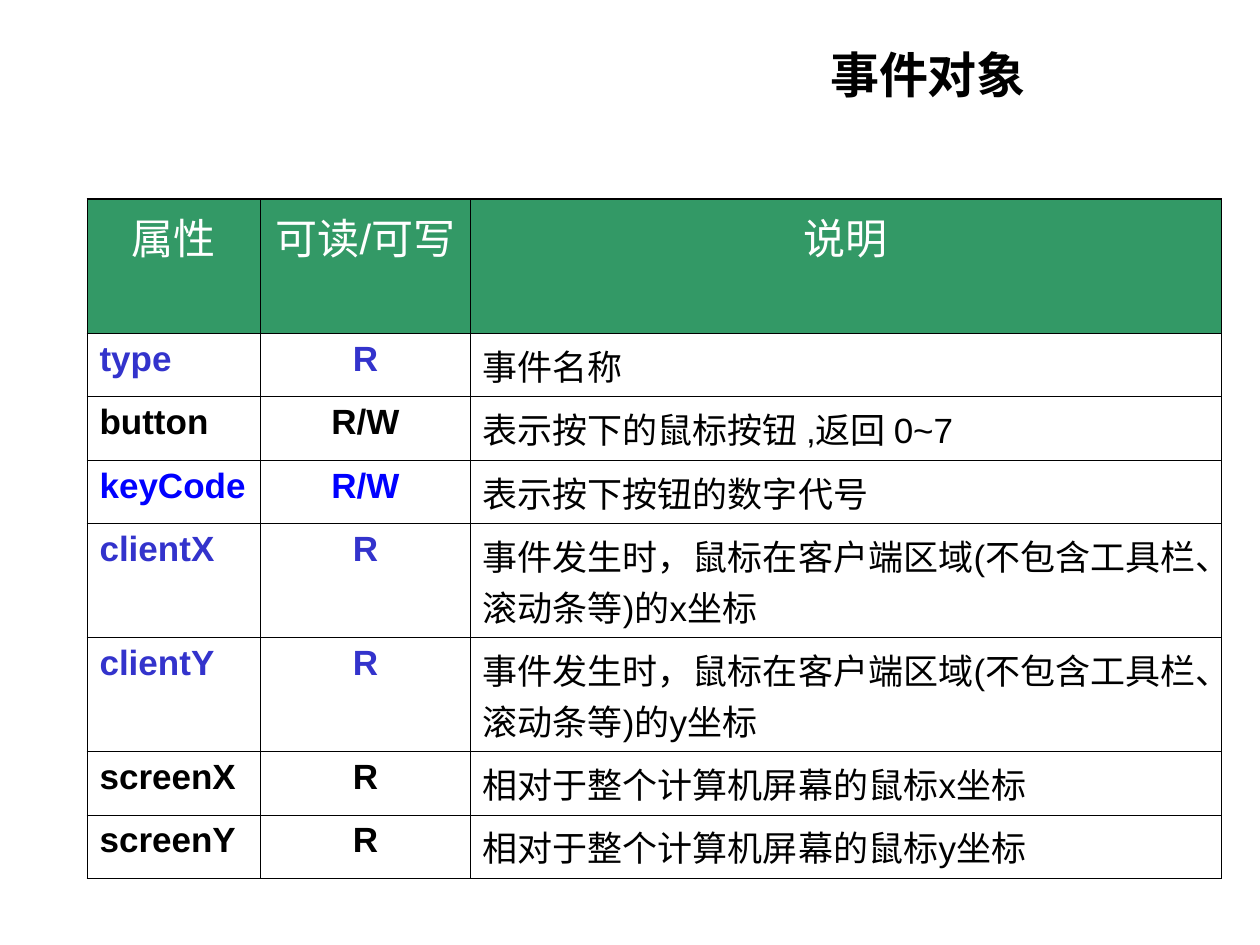
from dataclasses import dataclass
from lxml.etree import SubElement
from pptx import Presentation
from pptx.dml.color import RGBColor as Rgb
from pptx.enum.text import MSO_ANCHOR as Anchor, PP_ALIGN as Align
from pptx.oxml.ns import qn
from pptx.util import Inches, Pt

WIDE, HIGH = 10, 7.5
HUES = {"ink": "000000", "head": "339966", "pale": "FFFFFF",
        "key": "3333CC", "blue": "0000FF"}
LATIN, HAN = "Arial", "Noto Sans CJK SC"
THIN, BOLD = 0.45, 1.08  # border widths in points

COLS = (1.38, 1.66, 5.96)
HEADS = ("属性", "可读/可写", "说明")
HEAD_SIZE, BODY_SIZE = 24, 20
LEAD, PAD = 1.44, 7.5  # line pitch per point of text, row padding in points


@dataclass
class Prop:
    name: str
    mode: str
    note: str
    hue: str = "ink"
    lines: int = 1


def client(axis: str) -> Prop:
    note = f"事件发生时，鼠标在客户端区域(不包含工具栏、滚动条等)的{axis}坐标"
    return Prop(f"client{axis.upper()}", "R", note, "key", 2)


def screen(axis: str) -> Prop:
    return Prop(f"screen{axis.upper()}", "R", f"相对于整个计算机屏幕的鼠标{axis}坐标")


PROPS = (
    Prop("type", "R", "事件名称", "key"),
    Prop("button", "R/W", "表示按下的鼠标按钮 ,返回 0~7"),
    Prop("keyCode", "R/W", "表示按下按钮的数字代号", "blue"),
    *map(client, "xy"),
    *map(screen, "xy"),
)


def tall(lines: int, size: float) -> Pt:
    return Pt(lines * size * LEAD + PAD)


def write(frame, text: str, size: float, hue: str, bold: bool,
          align: Align, face: str = LATIN) -> None:
    para = frame.paragraphs[0]
    para.alignment = align
    run = para.add_run()
    run.text = text
    for key, val in {"size": Pt(size), "bold": bold, "name": face}.items():
        setattr(run.font, key, val)
    run.font.color.rgb = Rgb.from_string(HUES[hue])
    SubElement(run.font._element, qn("a:ea"), typeface=HAN)


def edge(cell, row: int) -> None:
    props = cell._tc.get_or_add_tcPr()
    for side in "LRTB":
        wide = BOLD if side == "T" and row == 0 else THIN
        line = SubElement(props, qn(f"a:ln{side}"), w=str(int(Pt(wide))))
        fill = SubElement(line, qn("a:solidFill"))
        SubElement(fill, qn("a:srgbClr"), val=HUES["ink"])


def draw_head(table) -> None:
    table.rows[0].height = tall(2, HEAD_SIZE)
    for col, text in enumerate(HEADS):
        cell = table.cell(0, col)
        edge(cell, 0)
        cell.fill.solid()
        cell.fill.fore_color.rgb = Rgb.from_string(HUES["head"])
        write(cell.text_frame, text, HEAD_SIZE, "pale", False, Align.CENTER)


def draw_prop(table, row: int, prop: Prop) -> None:
    table.rows[row].height = tall(prop.lines, BODY_SIZE)
    looks = ((prop.name, prop.hue, True, Align.LEFT),
             (prop.mode, prop.hue, True, Align.CENTER),
             (prop.note, "ink", False, Align.LEFT))
    for col, (text, hue, bold, align) in enumerate(looks):
        cell = table.cell(row, col)
        edge(cell, row)
        cell.fill.background()
        write(cell.text_frame, text, BODY_SIZE, hue, bold, align)


def main() -> None:
    deck = Presentation()
    deck.slide_width, deck.slide_height = Inches(WIDE), Inches(HIGH)
    slide = deck.slides.add_slide(deck.slide_layouts[6])

    # Title
    box = slide.shapes.add_textbox(*map(Inches, (4.8, 0.31, 5.13, 0.55)))
    frame = box.text_frame
    frame.word_wrap = True
    frame.vertical_anchor = Anchor.MIDDLE
    write(frame, "事件对象", 28, "ink", True, Align.CENTER, HAN)

    # Property table
    high = tall(2, HEAD_SIZE) + sum(tall(p.lines, BODY_SIZE) for p in PROPS)
    table = slide.shapes.add_table(
        len(PROPS) + 1, len(COLS),
        *map(Inches, (0.69, 1.58, sum(COLS))), high).table
    table.first_row = table.horz_banding = False
    for col, wide in zip(table.columns, COLS):
        col.width = Inches(wide)
    draw_head(table)
    for row, prop in enumerate(PROPS, 1):
        draw_prop(table, row, prop)

    deck.save("out.pptx")


if __name__ == "__main__":
    main()
